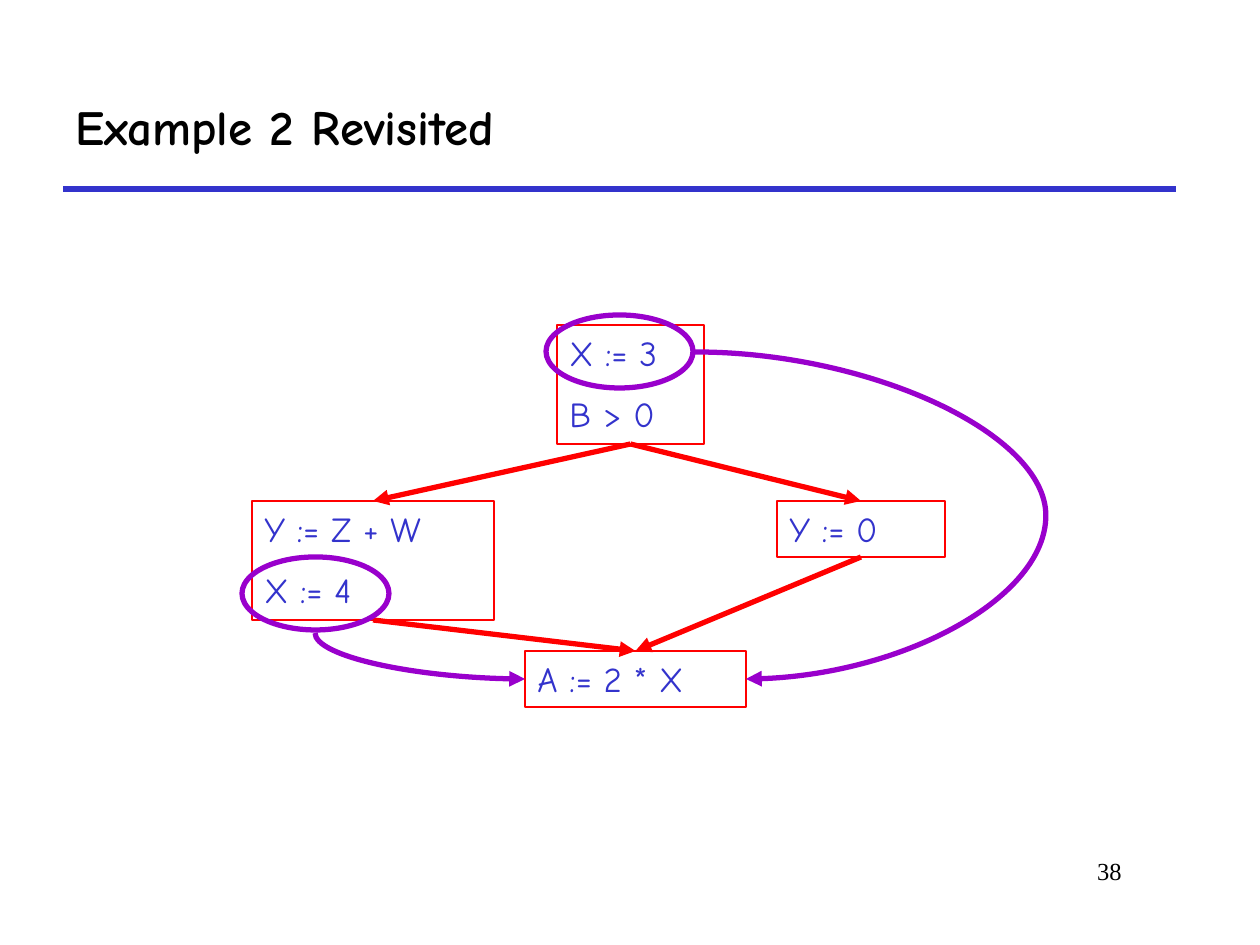
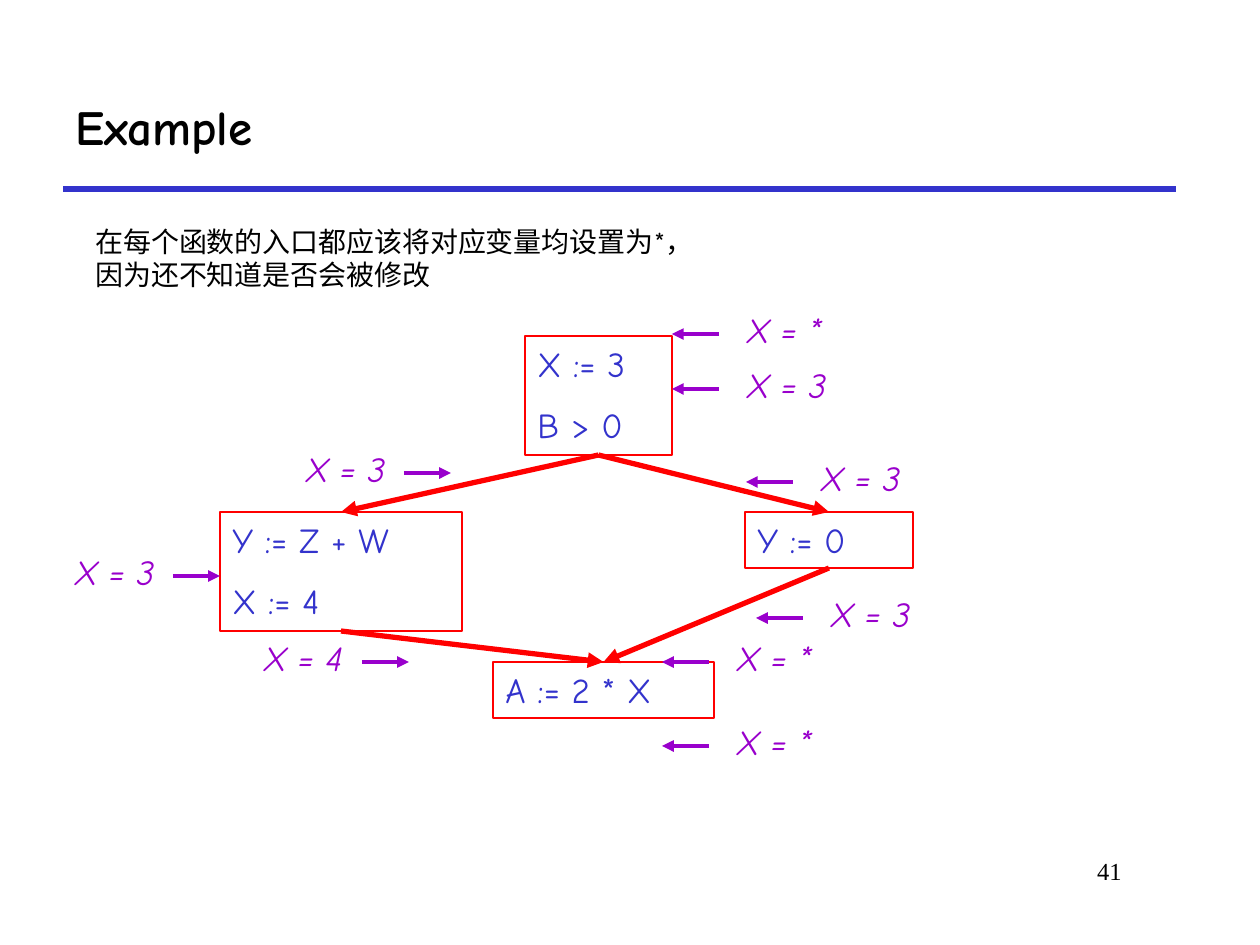
import pptx
import pptx.util
import pptx.dml.color
import pptx.enum.shapes
import pptx.enum.text
import pptx.oxml
import pptx.oxml.ns
from dataclasses import dataclass
from lxml import etree

EMU_PER_PX = 914400 / 126
TOP, LEFT, BOTTOM, RIGHT = range(4)
SHAPES = pptx.enum.shapes.MSO_SHAPE
CONNECTORS = pptx.enum.shapes.MSO_CONNECTOR
ANCHORS = pptx.enum.text.MSO_ANCHOR
ALIGNMENTS = pptx.enum.text.PP_ALIGN


@dataclass(frozen=True)
class Theme:
    ink: str = "000000"
    blue: str = "3333CC"
    red: str = "FF0000"
    purple: str = "9900CC"
    font: str = "Comic Neue"
    number_font: str = "Times New Roman"
    title_size: int = 28
    code_size: int = 20
    note_size: int = 16
    number_size: int = 14
    statement_gap: int = 11
    thick: float = 3
    medium: float = 2.25
    thin: float = 0.75


THEME = Theme()


def px(length):
    return pptx.util.Emu(round(length * EMU_PER_PX))


def color(value):
    return pptx.dml.color.RGBColor.from_string(value)


def style_line(line, line_color, width):
    line.color.rgb = color(line_color)
    line.width = pptx.util.Pt(width)


def write(shape, lines, size, text_color, font=THEME.font, bold=False,
          italic=False, align=ALIGNMENTS.LEFT, anchor=ANCHORS.TOP, gap=0):
    text_frame = shape.text_frame
    text_frame.word_wrap = True
    text_frame.vertical_anchor = anchor
    text_frame.text = "\n".join(lines)
    for index, paragraph in enumerate(text_frame.paragraphs):
        paragraph.alignment = align
        if index and gap:
            paragraph.space_before = pptx.util.Pt(gap)
        for run in paragraph.runs:
            run.font.name = font
            run.font.size = pptx.util.Pt(size)
            run.font.bold = bold
            run.font.italic = italic
            run.font.color.rgb = color(text_color)


def add_text(slide, bounds, lines, size, text_color, **style):
    box = slide.shapes.add_textbox(*map(px, bounds))
    write(box, lines, size, text_color, **style)


def add_outline(slide, kind, bounds, line_color, width):
    shape = slide.shapes.add_shape(kind, *map(px, bounds))
    shape.shadow.inherit = False
    shape.fill.background()
    style_line(shape.line, line_color, width)
    return shape


def add_block(slide, bounds, statements):
    block = add_outline(slide, SHAPES.RECTANGLE, bounds, THEME.red, THEME.thin)
    write(block, statements, THEME.code_size, THEME.blue,
          gap=THEME.statement_gap)
    return block


def add_line(slide, start, end, line_color, width, arrow=True,
             kind=CONNECTORS.STRAIGHT):
    connector = slide.shapes.add_connector(kind, *map(px, start + end))
    style_line(connector.line, line_color, width)
    properties = connector._element.spPr
    if arrow:
        outline = properties.find(pptx.oxml.ns.qn("a:ln"))
        etree.SubElement(outline, pptx.oxml.ns.qn("a:tailEnd"), type="triangle")
    etree.SubElement(properties, pptx.oxml.ns.qn("a:effectLst"))
    return connector


def add_flow(slide, source, target):
    connector = add_line(slide, (0, 0), (0, 0), THEME.red, THEME.thick)
    connector.begin_connect(source, BOTTOM)
    connector.end_connect(target, TOP)


def add_wide_curve(slide, start, end, reach):
    connector = add_line(slide, start, end, THEME.purple, THEME.thick,
                         kind=CONNECTORS.CURVE)
    geometry = connector._element.spPr.find(pptx.oxml.ns.qn("a:prstGeom"))
    adjustments = geometry.find(pptx.oxml.ns.qn("a:avLst"))
    if adjustments is None:
        adjustments = etree.SubElement(geometry, pptx.oxml.ns.qn("a:avLst"))
    ratio = round(100000 * (reach - start[0]) / (end[0] - start[0]))
    etree.SubElement(adjustments, pptx.oxml.ns.qn("a:gd"), name="adj1",
                     fmla=f"val {ratio}")


def add_corner_curve(slide, start, end):
    connector = add_line(slide, start, end, THEME.purple, THEME.thick,
                         kind=CONNECTORS.CURVE)
    width, height = end[0] - start[0], end[1] - start[1]
    connector.left = px((start[0] + end[0] - height) / 2)
    connector.top = px((start[1] + end[1] - width) / 2)
    connector.width, connector.height = px(height), px(width)
    properties = connector._element.spPr
    transform = properties.find(pptx.oxml.ns.qn("a:xfrm"))
    transform.set("rot", str(270 * 60000))
    transform.set("flipH", "1")
    geometry = properties.find(pptx.oxml.ns.qn("a:prstGeom"))
    geometry.set("prst", "curvedConnector2")


def add_fact(slide, left, top, fact, points_right=False):
    add_text(slide, (left, top, 116, 54), [fact], THEME.code_size,
             THEME.purple, italic=True)
    start, end = (110, 157) if points_right else (-16, -63)
    middle = top + 32
    add_line(slide, (left + start, middle), (left + end, middle),
             THEME.purple, THEME.medium)


def add_flow_graph(slide, left, top):
    entry = add_block(slide, (left + 305, top, 147, 119), ["X := 3", "B > 0"])
    then_block = add_block(slide, (left, top + 176, 242, 119),
                           ["Y := Z + W", "X := 4"])
    else_block = add_block(slide, (left + 525, top + 176, 168, 56), ["Y := 0"])
    merge = add_block(slide, (left + 273, top + 326, 221, 56), ["A := 2 * X"])
    for branch in (then_block, else_block):
        add_flow(slide, entry, branch)
        add_flow(slide, branch, merge)


def add_titled_slide(presentation, title, number):
    slide = presentation.slides.add_slide(presentation.slide_layouts[6])
    add_line(slide, (63, 189), (1176, 189), THEME.blue, THEME.thick, arrow=False)
    add_text(slide, (872, 850, 262, 63), [str(number)], THEME.number_size,
             THEME.ink, font=THEME.number_font, align=ALIGNMENTS.RIGHT)
    add_text(slide, (63, 63, 1113, 126), [title], THEME.title_size, THEME.ink,
             bold=True, anchor=ANCHORS.MIDDLE)
    return slide


def build_definitions_slide(presentation):
    slide = add_titled_slide(presentation, "Example 2 Revisited", 38)
    add_flow_graph(slide, 252, 325)
    for left, top in ((242, 557), (546, 315)):
        add_outline(slide, SHAPES.OVAL, (left, top, 147, 73),
                    THEME.purple, THEME.thick)
    add_corner_curve(slide, (315, 633), (525, 679))
    add_wide_curve(slide, (695, 352), (746, 679), 1046)


def build_facts_slide(presentation):
    slide = add_titled_slide(presentation, "Example", 41)
    add_flow_graph(slide, 220, 336)
    for left, top, fact in (
        (735, 302, "X = *"),
        (735, 357, "X = 3"),
        (809, 450, "X = 3"),
        (819, 586, "X = 3"),
        (725, 630, "X = *"),
        (725, 714, "X = *"),
    ):
        add_fact(slide, left, top, fact)
    for left, top, fact in (
        (294, 441, "X = 3"),
        (63, 544, "X = 3"),
        (252, 630, "X = 4"),
    ):
        add_fact(slide, left, top, fact, points_right=True)
    add_text(slide, (83, 218, 651, 81),
             ["在每个函数的入口都应该将对应变量均设置为*，", "因为还不知道是否会被修改"],
             THEME.note_size, THEME.ink)


def main():
    presentation = pptx.Presentation()
    presentation.slide_width = px(1260)
    presentation.slide_height = px(945)
    build_definitions_slide(presentation)
    build_facts_slide(presentation)
    presentation.save("out.pptx")


if __name__ == "__main__":
    main()
